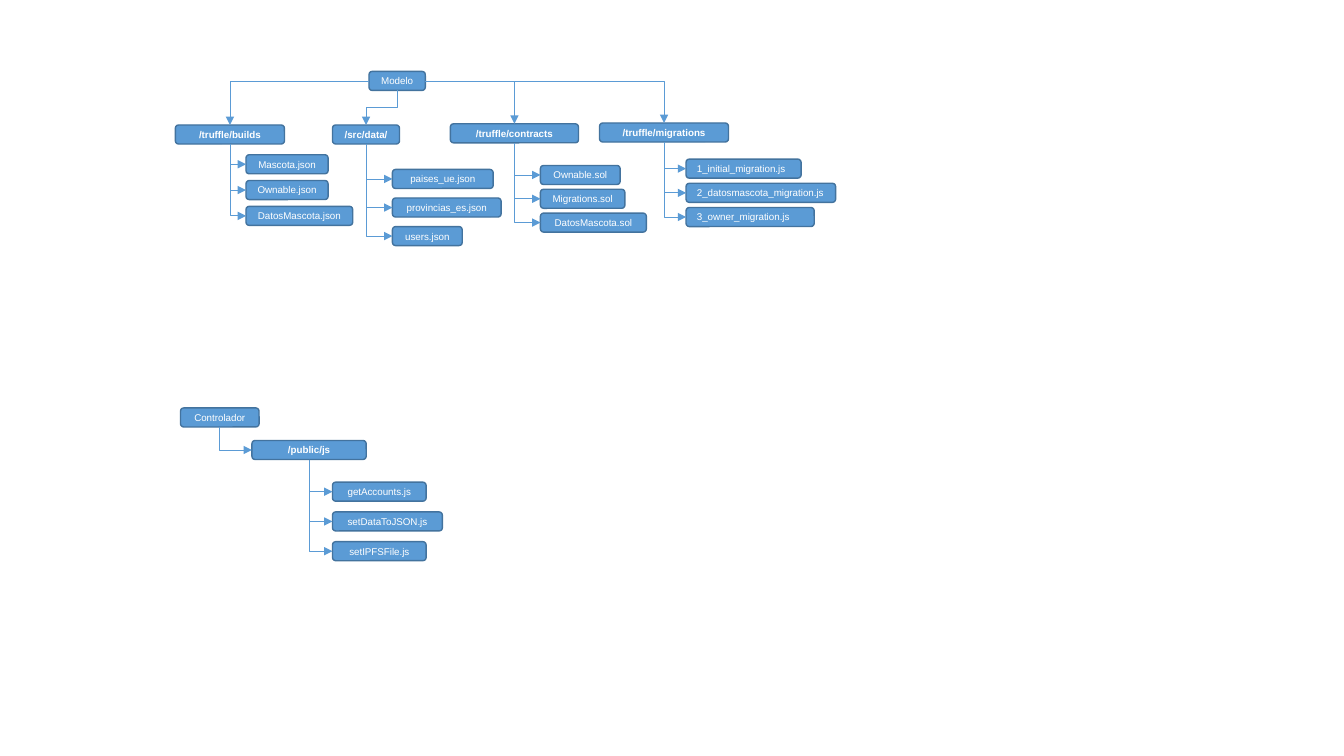
from dataclasses import dataclass

from lxml import etree
from pptx import Presentation
from pptx import util as u
from pptx.dml.color import RGBColor
from pptx.enum import shapes, text
from pptx.oxml.ns import qn


@dataclass(frozen=True)
class Theme:
    fill: RGBColor = RGBColor(0x5B, 0x9B, 0xD5)
    outline: RGBColor = RGBColor(0x43, 0x73, 0x9E)
    label: RGBColor = RGBColor(0xFF, 0xFF, 0xFF)
    font: str = "Arial"
    size: u.Pt = u.Pt(7)
    outline_width: u.Pt = u.Pt(1)
    arrow_width: u.Pt = u.Pt(0.5)


THEME = Theme()
BOX_HEIGHT = u.Cm(0.48)
TOP, LEFT, BOTTOM, RIGHT = range(4)  # connection sites of a rounded rectangle
CENTER, START = text.PP_ALIGN.CENTER, text.PP_ALIGN.LEFT

deck = Presentation()
deck.slide_width, deck.slide_height = u.Cm(33.87), u.Cm(19.05)
slide = deck.slides.add_slide(deck.slide_layouts[6])


def add_box(label, left, top, width, *, bold=False, align=CENTER):
    """Add a labelled rounded box; lengths are in centimetres."""
    box = slide.shapes.add_shape(shapes.MSO_SHAPE.ROUNDED_RECTANGLE,
                                 u.Cm(left), u.Cm(top), u.Cm(width), BOX_HEIGHT)
    box.shadow.inherit = False
    box.fill.solid()
    box.fill.fore_color.rgb = THEME.fill
    box.line.color.rgb = THEME.outline
    box.line.width = THEME.outline_width
    frame = box.text_frame
    frame.margin_top = frame.margin_bottom = 0
    frame.vertical_anchor = text.MSO_ANCHOR.MIDDLE
    paragraph = frame.paragraphs[0]
    paragraph.alignment = align
    run = paragraph.add_run()
    run.text = label
    run.font.name, run.font.size, run.font.bold = THEME.font, THEME.size, bold
    run.font.color.rgb = THEME.label
    return box


def connect(parent, child, begin_site, end_site):
    """Glue a bent arrow; one leaving the bottom is turned so it first runs down."""
    arrow = slide.shapes.add_connector(shapes.MSO_CONNECTOR.ELBOW, 0, 0, 0, 0)
    arrow.begin_connect(parent, begin_site)
    arrow.end_connect(child, end_site)
    properties = arrow._element.spPr
    if (begin_site, end_site) != (BOTTOM, TOP):
        properties.find(qn("a:prstGeom")).set("prst", "bentConnector2")
    if begin_site == BOTTOM:
        mid_x = (arrow.begin_x + arrow.end_x) // 2
        mid_y = (arrow.begin_y + arrow.end_y) // 2
        half_dx = (arrow.end_x - arrow.begin_x) // 2
        half_dy = (arrow.end_y - arrow.begin_y) // 2
        arrow.begin_x, arrow.begin_y = mid_x + half_dy, mid_y - half_dx
        arrow.end_x, arrow.end_y = mid_x - half_dy, mid_y + half_dx
        properties.find(qn("a:xfrm")).set("rot", str(270 * 60000))
    arrow.line.color.rgb = THEME.fill
    arrow.line.width = THEME.arrow_width
    etree.SubElement(properties.find(qn("a:ln")), qn("a:tailEnd"), type="triangle")
    etree.SubElement(properties, qn("a:effectLst"))


model = add_box("Modelo", 9.3, 1.8, 1.42)
controller = add_box("Controlador", 4.55, 10.28, 1.98)

# root, (begin site, end site), folder box, file left, first top, step, alignment, files
branches = [
    (model, (LEFT, TOP), ("/truffle/builds", 4.42, 3.15, 2.75),
     6.2, 3.9, 0.65, CENTER,
     [("Mascota.json", 2.07), ("Ownable.json", 2.07), ("DatosMascota.json", 2.69)]),
    (model, (BOTTOM, TOP), ("/src/data/", 8.38, 3.15, 1.69),
     9.89, 4.27, 0.72, CENTER,
     [("paises_ue.json", 2.54), ("provincias_es.json", 2.74), ("users.json", 1.76)]),
    (model, (RIGHT, TOP), ("/truffle/contracts", 11.35, 3.12, 3.23),
     13.62, 4.17, 0.6, CENTER,
     [("Ownable.sol", 2.01), ("Migrations.sol", 2.13), ("DatosMascota.sol", 2.67)]),
    (model, (RIGHT, TOP), ("/truffle/migrations", 15.11, 3.1, 3.25),
     17.29, 4.01, 0.61, START,
     [("1_initial_migration.js", 2.9), ("2_datosmascota_migration.js", 3.77),
      ("3_owner_migration.js", 3.23)]),
    (controller, (BOTTOM, LEFT), ("/public/js", 6.35, 11.1, 2.88),
     8.38, 12.15, 0.75, CENTER,
     [("getAccounts.js", 2.36), ("setDataToJSON.js", 2.77), ("setIPFSFile.js", 2.36)]),
]

for root, sites, folder_place, file_left, first_top, step, align, files in branches:
    folder = add_box(*folder_place, bold=True)
    connect(root, folder, *sites)
    for row, (file_name, width) in enumerate(files):
        file_box = add_box(file_name, file_left, first_top + row * step, width, align=align)
        connect(folder, file_box, BOTTOM, LEFT)

deck.save("out.pptx")
